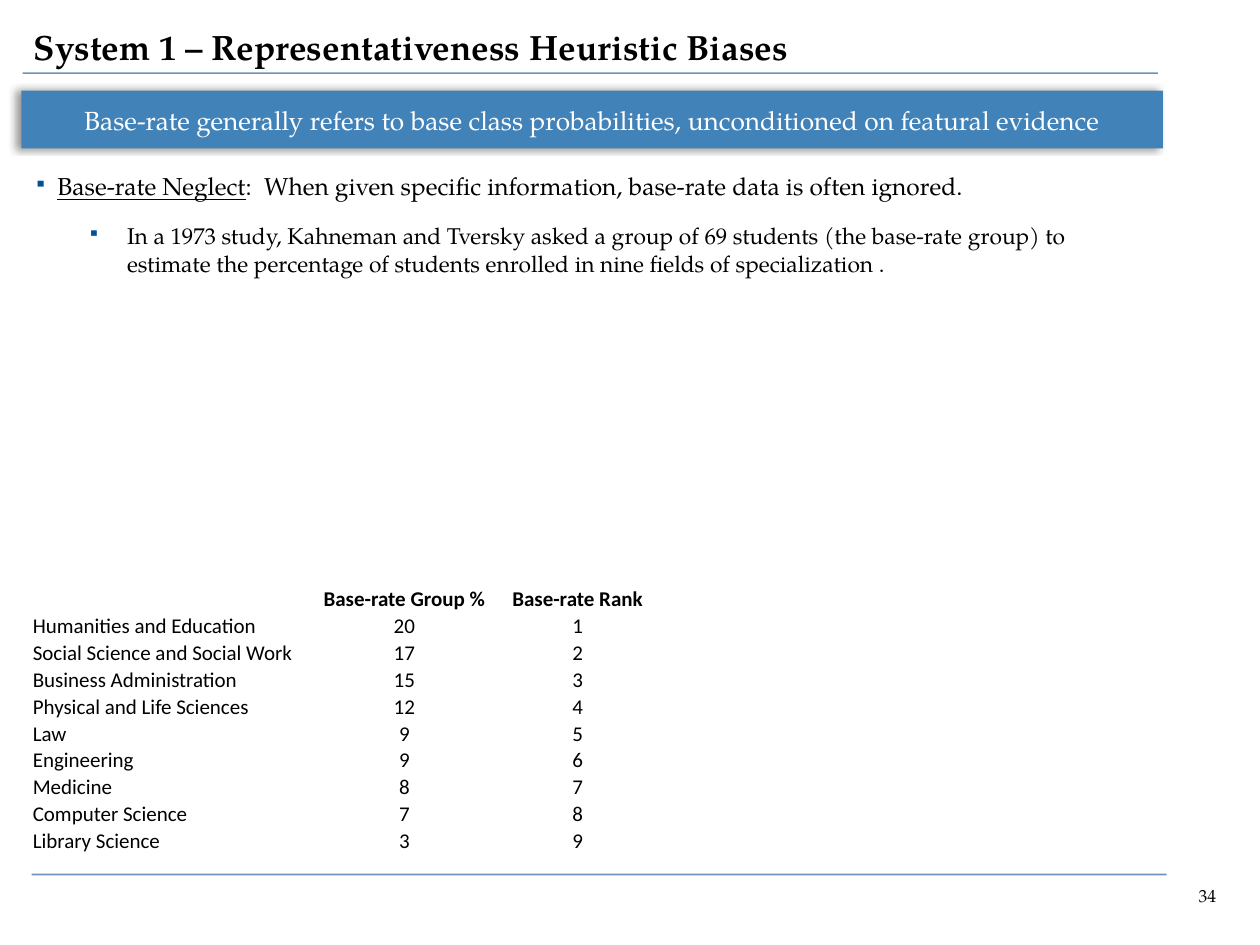
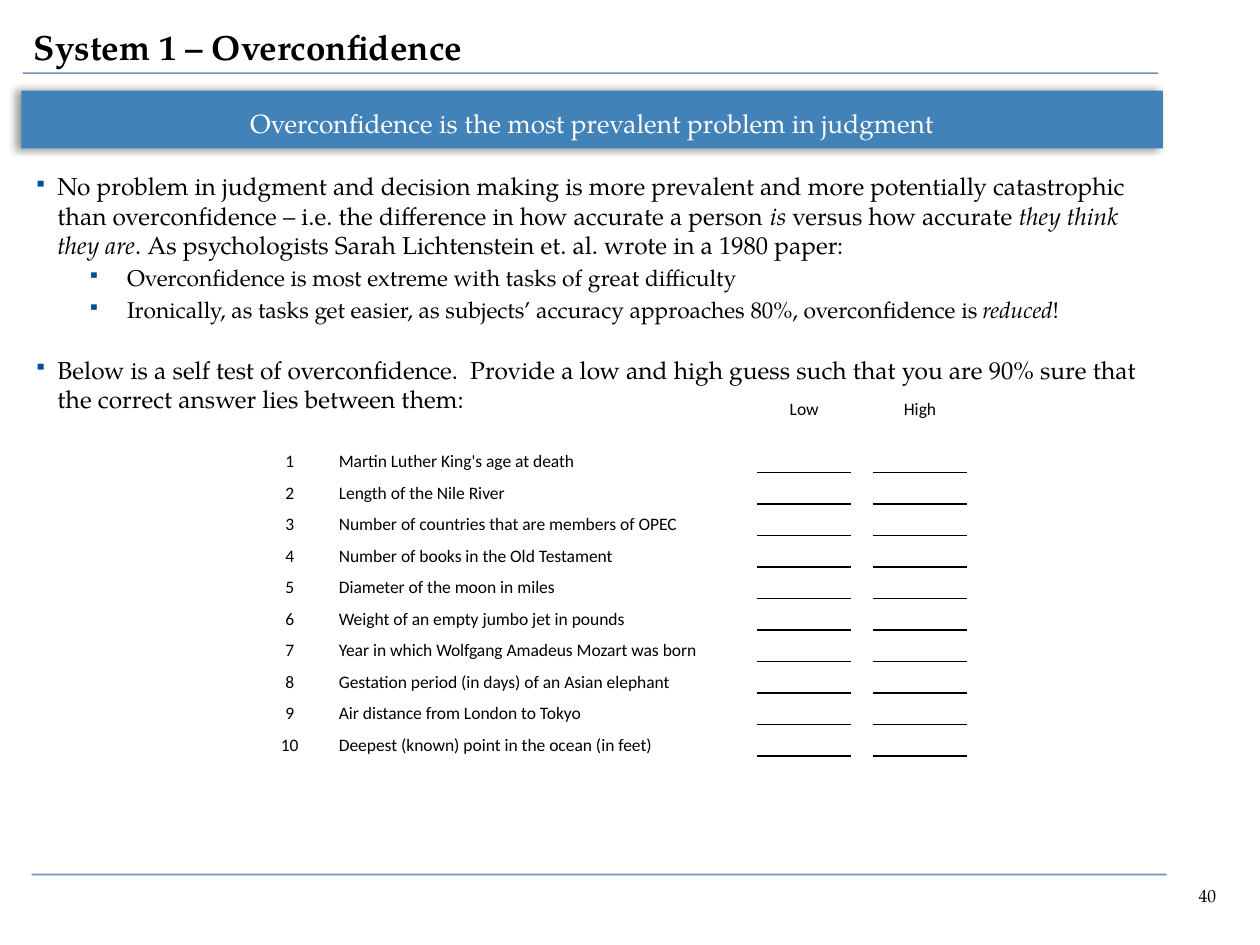
import pptx
import pptx.dml.color
import pptx.enum.shapes
import pptx.enum.text
import pptx.oxml
import pptx.oxml.ns
import pptx.util
from lxml import etree

Pt = pptx.util.Pt
qn = pptx.oxml.ns.qn
ALIGN = pptx.enum.text.PP_ALIGN
ANCHOR = pptx.enum.text.MSO_ANCHOR

# Shared look
SERIF, SANS = "TeX Gyre Pagella", "Calibri"
BLACK, WHITE, BAND, RULE, BULLET = "000000", "FFFFFF", "4182B8", "124B8B", "00509A"
LEFT = 12.24
NO_STYLE = "{2D5ABB26-0587-4C30-8999-92F81FD0307C}"
# Per level: text size, left margin, first-line indent
LEVELS = [(14, 13.5, -13.5), (13, 53.3, -22.5)]


def rgb(value):
    return pptx.dml.color.RGBColor.from_string(value)


def add_xml(parent, tag, **attributes):
    return etree.SubElement(parent, qn(tag), attributes)


def set_font(paragraph, size, color=BLACK, name=SERIF, bold=False):
    font = paragraph.font
    font.name, font.size, font.bold = name, Pt(size), bold
    font.color.rgb = rgb(color)


def add_text(page, box, text, size, align=ALIGN.LEFT, anchor=ANCHOR.TOP, bold=False):
    frame = page.shapes.add_textbox(*map(Pt, box)).text_frame
    frame.word_wrap = True
    frame.vertical_anchor = anchor
    para = frame.paragraphs[0]
    para.text, para.alignment = text, align
    set_font(para, size, bold=bold)


def add_rule(page, left, top):
    line = page.shapes.add_connector(
        pptx.enum.shapes.MSO_CONNECTOR.STRAIGHT,
        Pt(left), Pt(top), Pt(left + 648.7), Pt(top))
    line.line.width = Pt(1)
    line.line.color.rgb = rgb(RULE)
    color = line.line._get_or_add_ln().find(".//" + qn("a:srgbClr"))
    add_xml(color, "a:alpha", val="60000")
    add_xml(line._element.spPr, "a:effectLst")


def add_banner(page, text, top_inset):
    band = page.shapes.add_shape(
        pptx.enum.shapes.MSO_SHAPE.RECTANGLE, Pt(LEFT), Pt(51.8), Pt(652.3), Pt(33.1))
    band.fill.solid()
    band.fill.fore_color.rgb = rgb(BAND)
    band.line.fill.background()
    band.shadow.inherit = False
    # Soft shadow to the left
    effects = band._element.spPr.find(qn("a:effectLst"))
    shadow = add_xml(effects, "a:outerShdw", blurRad=str(Pt(4)), dist=str(Pt(3)),
                     dir="10800000", algn="ctr", rotWithShape="0")
    add_xml(add_xml(shadow, "a:srgbClr", val=BLACK), "a:alpha", val="40000")
    frame = band.text_frame
    frame.word_wrap = True
    frame.vertical_anchor = ANCHOR.MIDDLE
    frame.margin_top = Pt(top_inset)
    para = frame.paragraphs[0]
    para.text, para.alignment = text, ALIGN.CENTER
    set_font(para, 15, WHITE)


def add_bullet(para, level):
    size, margin, indent = LEVELS[level]
    properties = para._p.get_or_add_pPr()
    properties.set("marL", str(Pt(margin)))
    properties.set("indent", str(Pt(indent)))
    add_xml(add_xml(properties, "a:buClr"), "a:srgbClr", val=BULLET)
    add_xml(properties, "a:buSzPct", val="75000")
    add_xml(properties, "a:buChar", char="▪")
    para.level = level
    set_font(para, size)


def add_body(page, items):
    """Each item is (level, space before, spans); a span is (text, style)."""
    frame = page.shapes.add_textbox(Pt(LEFT), Pt(94.3), Pt(648), Pt(379.4)).text_frame
    frame.word_wrap = True
    for number, (level, gap, spans) in enumerate(items):
        para = frame.add_paragraph() if number else frame.paragraphs[0]
        add_bullet(para, level)
        if gap:
            para.space_before = Pt(gap)
        for text, style in spans:
            span = para.add_run()
            span.text = text
            if style == "italic":
                span.font.italic = True
            elif style == "underline":
                span.font.underline = True


def add_grid(page, left, top, widths, heights):
    """Add a plain table with tight, unfilled cells."""
    frame = page.shapes.add_table(len(heights), len(widths), Pt(left), Pt(top),
                                  Pt(sum(widths)), Pt(sum(heights)))
    table = frame.table
    table.first_row = table.horz_banding = False
    table._tbl.tblPr.find(qn("a:tableStyleId")).text = NO_STYLE
    for column, width in zip(table.columns, widths):
        column.width = Pt(width)
    for row, height in zip(table.rows, heights):
        row.height = Pt(height)
    for cell in table.iter_cells():
        cell.margin_left = cell.margin_right = cell.margin_top = Pt(0.75)
        cell.margin_bottom = 0
        cell.fill.background()
        # Small end mark, so that empty cells do not stretch their rows
        add_xml(cell.text_frame.paragraphs[0]._p, "a:endParaRPr", sz="800")
    return table


def fill_cell(cell, text, size, align=ALIGN.CENTER, anchor=ANCHOR.BOTTOM, bold=False):
    cell.vertical_anchor = anchor
    para = cell.text_frame.paragraphs[0]
    para.add_run().text = text
    para.alignment = align
    set_font(para, size, name=SANS, bold=bold)


def add_border(cell, tag, position):
    line = pptx.oxml.parse_xml(
        f'<a:{tag} xmlns:a="http://schemas.openxmlformats.org/drawingml/2006/main" '
        f'w="{Pt(1)}"><a:solidFill><a:srgbClr val="{BLACK}"/></a:solidFill></a:{tag}>')
    cell._tc.get_or_add_tcPr().insert(position, line)


def add_page(deck, title, banner, number, banner_inset=3.6):
    page = deck.slides.add_slide(deck.slide_layouts[6])
    add_rule(page, 12.96, 41.8)
    add_rule(page, 18, 499.7)
    add_text(page, (653.8, 505.4, 48.2, 15.8), number, 10, ALIGN.RIGHT, ANCHOR.BOTTOM)
    add_text(page, (LEFT, 10.8, 694.8, 30.2), title, 20, bold=True)
    add_banner(page, banner, banner_inset)
    return page


def add_base_rates(page):
    fields = [("Humanities and Education", 20), ("Social Science and Social Work", 17),
              ("Business Administration", 15), ("Physical and Life Sciences", 12),
              ("Law", 9), ("Engineering", 9), ("Medicine", 8),
              ("Computer Science", 7), ("Library Science", 3)]
    table = add_grid(page, 18, 331.2, [84.2, 77.8, 102.2, 95.8, 102.2, 113.8],
                     [18.7] + [15.37] * len(fields))
    for column, heading in enumerate(["Base-rate Group %", "Base-rate Rank"], 2):
        fill_cell(table.cell(0, column), heading, 12, bold=True)
    for rank, (field, percent) in enumerate(fields, 1):
        if len(field) > 8:
            table.cell(rank, 0).merge(table.cell(rank, 1))
        fill_cell(table.cell(rank, 0), field, 12, ALIGN.LEFT)
        for column, value in enumerate([percent, rank], 2):
            fill_cell(table.cell(rank, column), str(value), 12, anchor=ANCHOR.MIDDLE)


def add_self_test(page):
    questions = ["Martin Luther King's age at death",
                 "Length of the Nile River",
                 "Number of countries that are members of OPEC",
                 "Number of books in the Old Testament",
                 "Diameter of the moon in miles",
                 "Weight of an empty jumbo jet in pounds",
                 "Year in which Wolfgang Amadeus Mozart was born",
                 "Gestation period (in days) of an Asian elephant",
                 "Air distance from London to Tokyo",
                 "Deepest (known) point in the ocean (in feet)"]
    table = add_grid(page, 138.2, 221.8, [54.7, 202.3, 37.4, 54, 12.2, 54, 12.2, 84.2],
                     [18, 12.2] + [18] * len(questions))
    for column, heading in [(3, "Low"), (5, "High")]:
        fill_cell(table.cell(0, column), heading, 10)
        # Answer lines
        for row in range(2, len(questions) + 2):
            cell = table.cell(row, column)
            add_border(cell, "lnB", 0)
            if row > 2:
                add_border(cell, "lnT", 0)
    for number, question in enumerate(questions, 1):
        row = number + 1
        if len(question) > 42:
            table.cell(row, 1).merge(table.cell(row, 2))
        fill_cell(table.cell(row, 0), str(number), 10)
        fill_cell(table.cell(row, 1), question, 10, ALIGN.LEFT)


def main():
    deck = pptx.Presentation()
    deck.slide_width, deck.slide_height = Pt(720), Pt(540)

    # Base-rate neglect
    page = add_page(deck, "System 1 – Representativeness Heuristic Biases",
                    "Base-rate generally refers to base class probabilities, "
                    "unconditioned on featural evidence", "34")
    add_body(page, [
        (0, 0, [("Base-rate Neglect", "underline"),
                (":  When given specific information, base-rate data is often ignored.", "")]),
        (1, 12.2, [("In a 1973 study, Kahneman and Tversky asked a group of 69 students "
                    "(the base-rate group) to estimate the percentage of students enrolled "
                    "in nine fields of specialization .", "")]),
    ])
    add_base_rates(page)

    # Overconfidence
    page = add_page(deck, "System 1 – Overconfidence",
                    "Overconfidence is the most prevalent problem in judgment", "40", 7)
    add_body(page, [
        (0, 0, [("No problem in judgment and decision making is more prevalent and more "
                 "potentially catastrophic than overconfidence – i.e. the difference in "
                 "how accurate a person ", ""),
                ("is", "italic"), (" versus how accurate ", ""),
                ("they think they are", "italic"),
                (". As psychologists Sarah Lichtenstein et. al. wrote in a 1980 paper:", "")]),
        (1, 2.6, [("Overconfidence is most extreme with tasks of great difficulty", "")]),
        (1, 2.6, [("Ironically, as tasks get easier, as subjects’ accuracy approaches 80%, "
                   "overconfidence is ", ""), ("reduced", "italic"), ("!", "")]),
        (0, 18, [("Below is a self test of overconfidence.  Provide a low and high guess "
                  "such that you are 90% sure that the correct answer lies between them:", "")]),
    ])
    add_self_test(page)

    deck.save("out.pptx")


if __name__ == "__main__":
    main()
